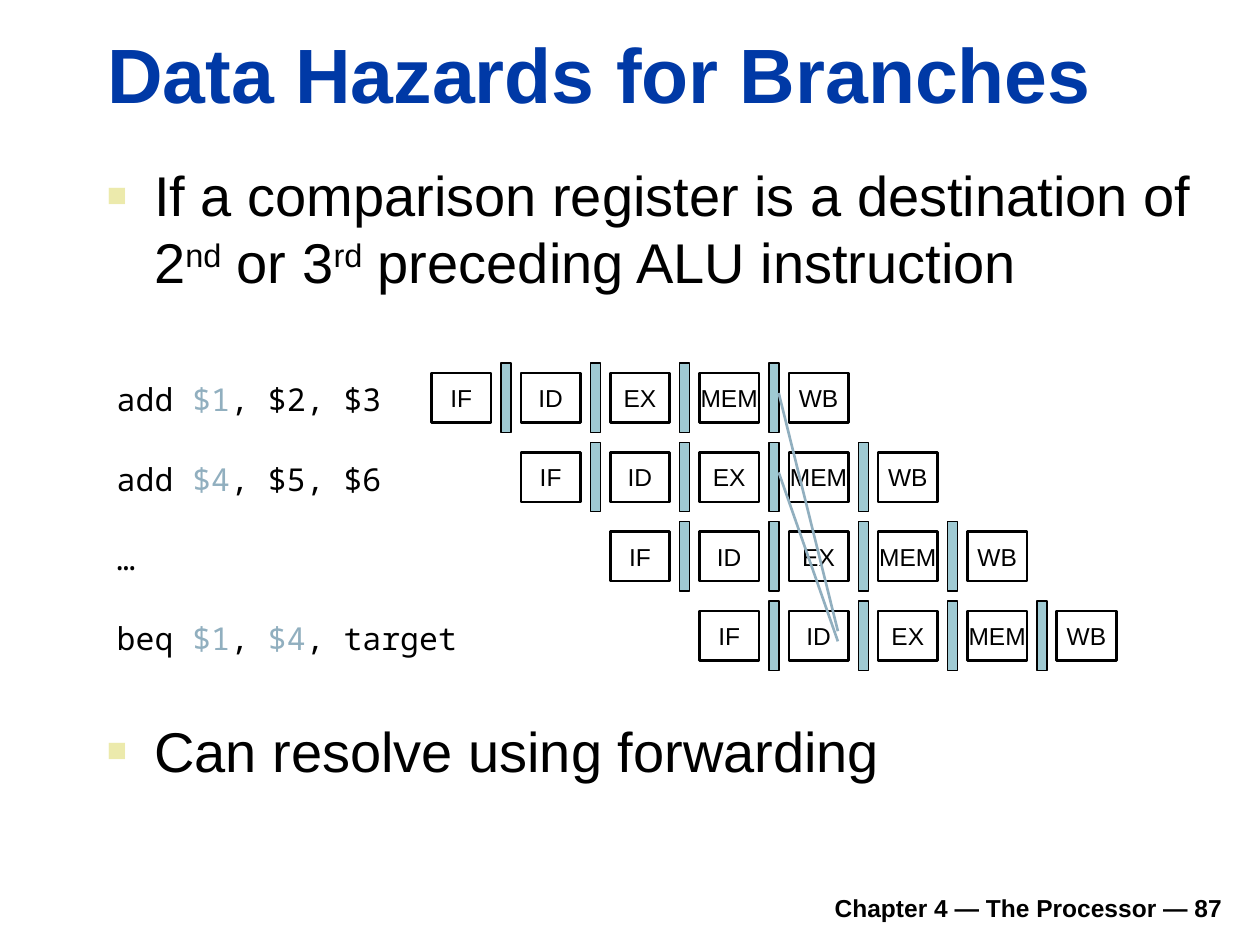
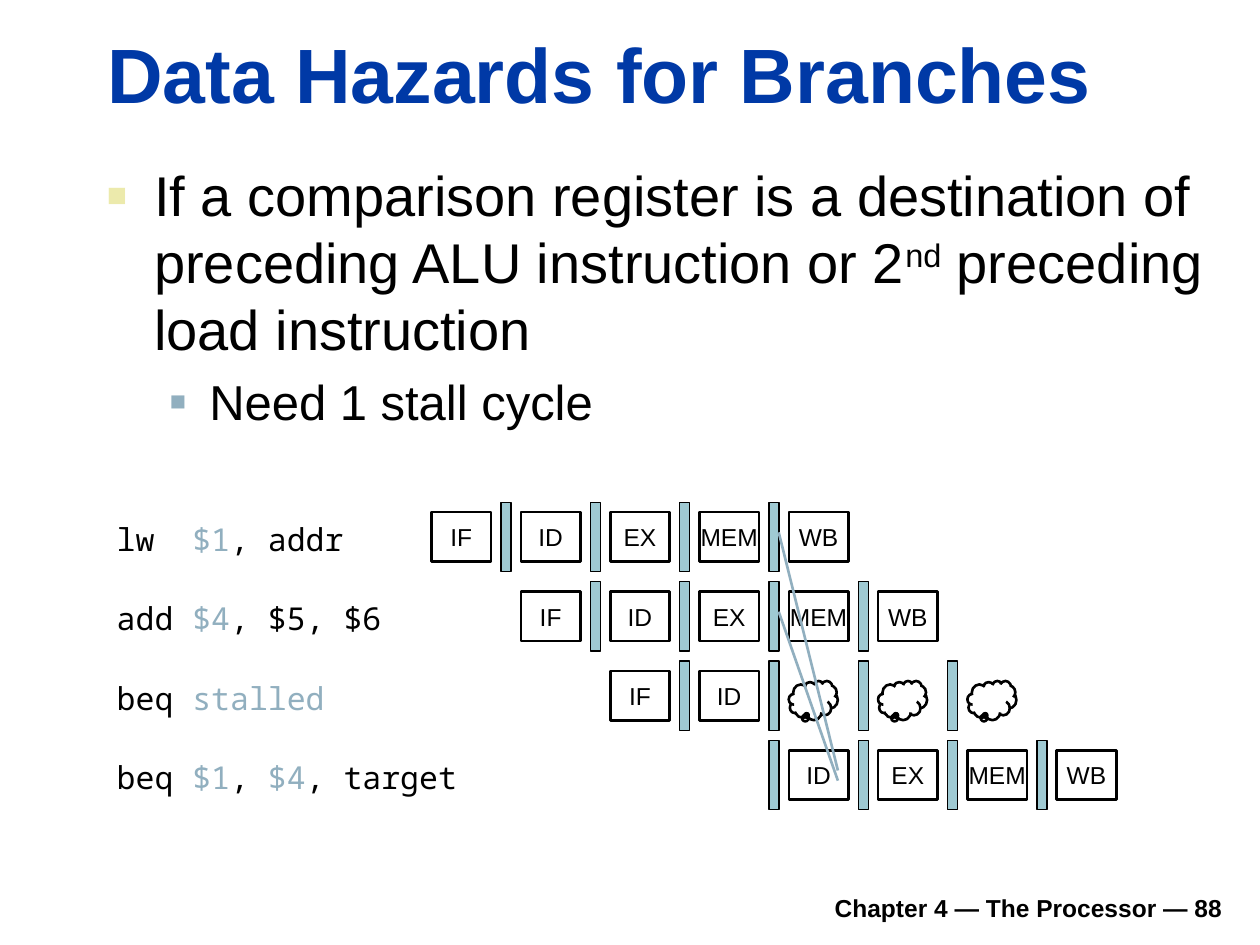
from dataclasses import dataclass

from lxml import etree
from pptx import Presentation
from pptx.dml.color import RGBColor
from pptx.enum.shapes import MSO_CONNECTOR, MSO_SHAPE
from pptx.enum.text import MSO_ANCHOR, MSO_AUTO_SIZE, PP_ALIGN
from pptx.oxml.ns import qn
from pptx.util import Pt

RECT = MSO_SHAPE.RECTANGLE
CLOUD = MSO_SHAPE.CLOUD_CALLOUT
LINE = MSO_CONNECTOR.STRAIGHT
LEFT, CENTER, RIGHT = PP_ALIGN.LEFT, PP_ALIGN.CENTER, PP_ALIGN.RIGHT
TOP, MIDDLE, BOTTOM = MSO_ANCHOR.TOP, MSO_ANCHOR.MIDDLE, MSO_ANCHOR.BOTTOM


@dataclass(frozen=True)
class Theme:
    ink: str = "000000"
    title: str = "0039A6"
    mark: str = "ECEAAC"
    tint: str = "91AFBF"
    latch: str = "9FCAD3"
    sans: str = "Arial"
    mono: str = "Noto Sans Mono"
    head: int = 44
    body: int = 32
    sub: int = 28
    code: int = 18
    small: int = 14


T = Theme()

# Pipeline grid: step between stages and rows, and the size of a stage box
LEFT_X, STEP_X, STEP_Y = 246.6, 51.04, 45.35
BOX_W, BOX_H = 34, 28.35
LATCH_X, LATCH_W, RISE = 39.7, 5.75, 5.7
STAGES = "IF ID EX MEM WB"
BUBBLE = "*"
GAP = "-"


def rgb(code):
    return RGBColor.from_string(code)


def style(para, size, color=T.ink, name=T.sans, bold=False, align=LEFT):
    para.alignment = align
    font = para.font
    font.size, font.name, font.bold = Pt(size), name, bold
    font.color.rgb = rgb(color)


def add_text(slide, x, y, w, h, anchor=TOP):
    frame = slide.shapes.add_textbox(Pt(x), Pt(y), Pt(w), Pt(h)).text_frame
    frame.word_wrap = True
    frame.vertical_anchor = anchor
    return frame


def add_runs(para, text, accent):
    """Split text at bars and apply accent to every second piece."""
    for i, piece in enumerate(text.split("|")):
        run = para.add_run()
        run.text = piece
        if i % 2:
            accent(run)


def raise_run(run):
    run._r.get_or_add_rPr().set("baseline", "30000")


def tint_run(run):
    run.font.color.rgb = rgb(T.tint)


def add_bullet(para, color, percent, margin, indent):
    props = para._p.get_or_add_pPr()
    props.set("marL", str(Pt(margin)))
    props.set("indent", str(Pt(-indent)))
    tone = etree.SubElement(props, qn("a:buClr"))
    etree.SubElement(tone, qn("a:srgbClr")).set("val", color)
    etree.SubElement(props, qn("a:buSzPct")).set("val", str(percent * 1000))
    etree.SubElement(props, qn("a:buFont")).set("typeface", T.sans)
    etree.SubElement(props, qn("a:buChar")).set("char", "■")


def add_points(slide, y, w, h, text, sub=None):
    frame = add_text(slide, 54, y, w, h)
    levels = [(text, T.body, T.mark, 60, 27, 27)]
    if sub:
        levels.append((sub, T.sub, T.tint, 55, 58.5, 22.5))
    for i, (words, size, color, percent, margin, indent) in enumerate(levels):
        para = frame.add_paragraph() if i else frame.paragraphs[0]
        add_runs(para, words, raise_run)
        add_bullet(para, color, percent, margin, indent)
        para.line_spacing = Pt(round(size * 1.195, 2))
        if i:
            para.space_before = Pt(size * 0.2)
        style(para, size)


def add_code(slide, y, text):
    para = add_text(slide, 59.6, y, 220, 28.8).paragraphs[0]
    add_runs(para, text, tint_run)
    style(para, T.code, name=T.mono)


def add_block(slide, kind, x, y, w, h, fill=None, weight=1.5):
    block = slide.shapes.add_shape(kind, Pt(x), Pt(y), Pt(w), Pt(h))
    block.shadow.inherit = False
    if fill:
        block.fill.solid()
        block.fill.fore_color.rgb = rgb(fill)
    else:
        block.fill.background()
    block.line.color.rgb = rgb(T.ink)
    block.line.width = Pt(weight)
    return block


def add_stage(slide, x, y, name):
    frame = add_block(slide, RECT, x, y, BOX_W, BOX_H).text_frame
    frame.word_wrap = False
    frame.vertical_anchor = MIDDLE
    frame.text = name
    style(frame.paragraphs[0], T.small, align=CENTER)


def add_bubble(slide, x, y):
    cloud = add_block(slide, CLOUD, x, y + RISE, 28, 22.4)
    cloud.adjustments[0] = -0.13
    cloud.adjustments[1] = 0.36


def add_row(slide, x, y, stages):
    """Draw the stages of one instruction and the registers between them."""
    names = stages.split()
    for i, name in enumerate(names):
        left = x + i * STEP_X
        if name == BUBBLE:
            add_bubble(slide, left, y)
        elif name != GAP:
            add_stage(slide, left, y, name)
        if i < len(names) - 1:
            add_block(slide, RECT, left + LATCH_X, y - RISE, LATCH_W,
                      BOX_H + 2 * RISE, T.latch, 0.75)


def add_path(slide, x1, y1, x2, y2):
    line = slide.shapes.add_connector(LINE, Pt(x1), Pt(y1), Pt(x2), Pt(y2))
    line.line.color.rgb = rgb(T.tint)
    line.line.width = Pt(1.5)
    etree.SubElement(line._element.spPr, qn("a:effectLst"))


def add_pipe(slide, top, rows):
    for i, (code, stages) in enumerate(rows):
        y = top + i * STEP_Y
        add_code(slide, y + 0.8, code)
        add_row(slide, LEFT_X + i * STEP_X, y, stages)
    for i, end in enumerate((147.6, 153.4)):
        add_path(slide, 445, top + i * STEP_Y + 11.5, 478.8, top + end)


def add_slide(deck, number):
    slide = deck.slides.add_slide(deck.slide_layouts[5])
    title = slide.shapes.title
    title.left, title.top = Pt(54), Pt(11.5)
    title.width, title.height = Pt(650), Pt(60)
    frame = title.text_frame
    frame.text = "Data Hazards for Branches"
    frame.auto_size = MSO_AUTO_SIZE.NONE
    frame.vertical_anchor = BOTTOM
    style(frame.paragraphs[0], T.head, T.title, bold=True)
    foot = add_text(slide, 133.2, 502.6, 572.4, 28, BOTTOM)
    foot.text = f"Chapter 4 — The Processor — {number}"
    style(foot.paragraphs[0], T.small, bold=True, align=RIGHT)
    return slide


def main():
    deck = Presentation()
    deck.slide_width, deck.slide_height = Pt(720), Pt(540)

    slide = add_slide(deck, 87)
    add_points(slide, 88.6, 652, 96.5,
               "If a comparison register is a destination of "
               "2|nd| or 3|rd| preceding ALU instruction")
    add_pipe(slide, 213.1, [
        ("add |$1|, $2, $3", STAGES),
        ("add |$4|, $5, $6", STAGES),
        ("…", STAGES),
        ("beq |$1|, |$4|, target", STAGES),
    ])
    add_points(slide, 406, 612, 51, "Can resolve using forwarding")

    slide = add_slide(deck, 88)
    add_points(slide, 88.6, 652, 187,
               "If a comparison register is a destination of preceding "
               "ALU instruction or 2|nd| preceding load instruction",
               "Need 1 stall cycle")
    add_pipe(slide, 292.7, [
        ("lw  |$1|, addr", STAGES),
        ("add |$4|, $5, $6", STAGES),
        ("beq |stalled", "IF ID * * *"),
        ("beq |$1|, |$4|, target", "- ID EX MEM WB"),
    ])

    deck.save("out.pptx")


if __name__ == "__main__":
    main()
